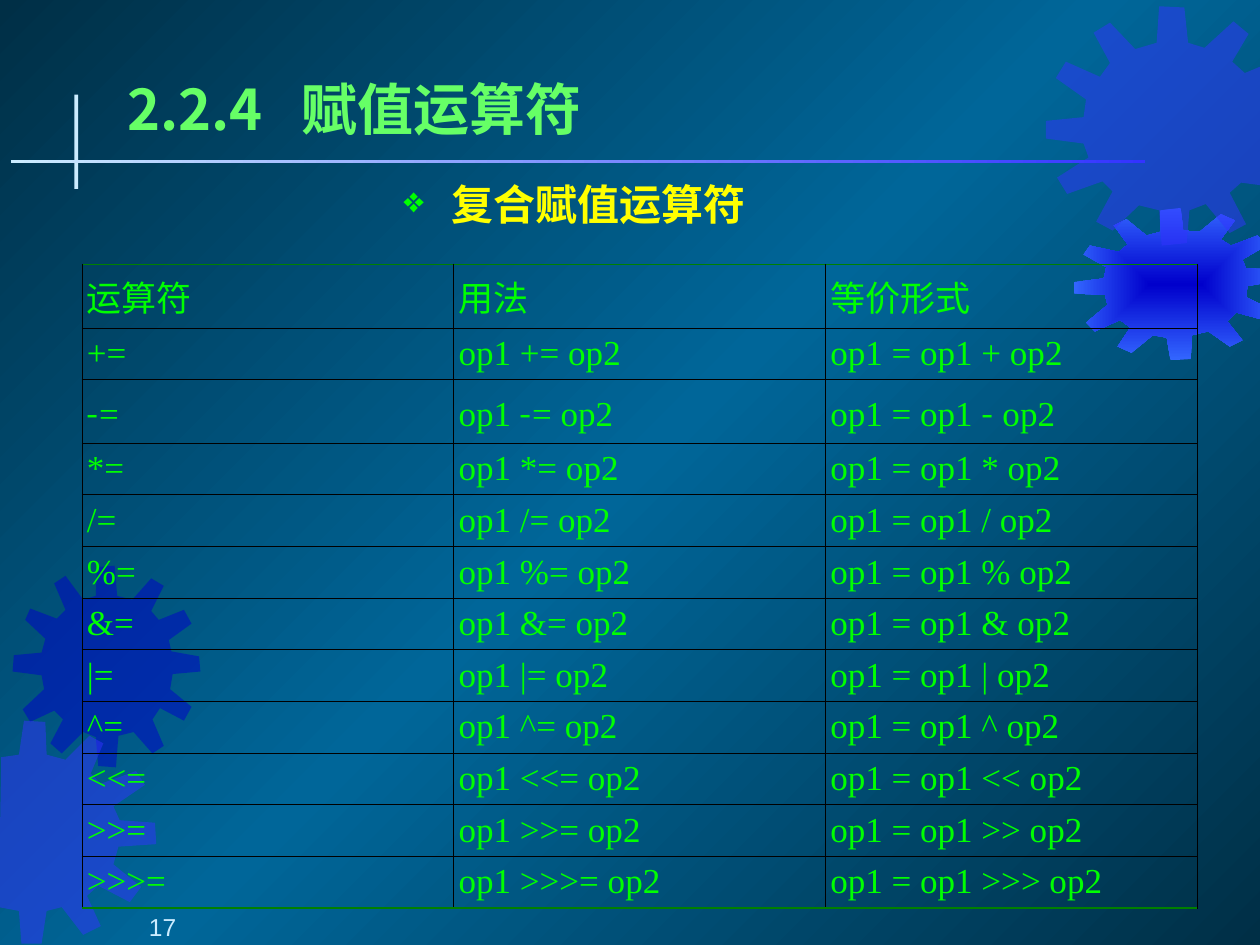
import pptx
import pptx.dml.color
import pptx.enum.shapes
import pptx.enum.text
import pptx.oxml.ns
import pptx.util
from dataclasses import dataclass
from lxml import etree

qn = pptx.oxml.ns.qn
Align = pptx.enum.text.PP_ALIGN
Anchor = pptx.enum.text.MSO_ANCHOR


@dataclass(frozen=True)
class Theme:
    deep: str = "002F46"
    sea: str = "006699"
    navy: str = "0000CC"
    violet: str = "3333FF"
    azure: str = "3366FF"
    ice: str = "CCECFF"
    title: str = "66FF66"
    heading: str = "FFFF00"
    green: str = "00FF00"
    edge: str = "008000"
    black: str = "000000"
    serif: str = "Times New Roman"
    sans: str = "Arial"
    han: str = "Noto Sans CJK SC"
    title_size: int = 32
    heading_size: int = 24
    table_size: int = 20
    number_size: int = 14


def add(parent, tag, **attributes):
    return etree.SubElement(parent, qn(tag), {k: str(v) for k, v in attributes.items()})


class Slide:
    """Holds the theme and the page; lengths are cells of a 100 by 75 grid."""

    COLUMNS, ROWS = 100, 75

    def __init__(self, deck, theme):
        self.theme = theme
        self.cell = deck.slide_width / self.COLUMNS
        self.page = deck.slides.add_slide(deck.slide_layouts[5])

    def span(self, cells):
        return pptx.util.Emu(round(cells * self.cell))

    def gradient(self, owner, element, stops, angle=None):
        """A linear gradient, or a rectangular one when no angle is given."""
        owner.fill.gradient()
        fill = element.find(".//" + qn("a:gradFill"))
        fill.clear()
        stop_list = add(fill, "a:gsLst")
        for place, color in stops:
            add(add(stop_list, "a:gs", pos=place * 1000), "a:srgbClr", val=color)
        if angle is None:
            add(add(fill, "a:path", path="rect"), "a:fillToRect",
                l=50000, t=50000, r=50000, b=50000)
        else:
            add(fill, "a:lin", ang=angle * 60000, scaled=0)

    def background(self, stops, angle):
        self.gradient(self.page.background, self.page.element, stops, angle)

    def finish(self, shape, color=None, stops=None, angle=None, opacity=100):
        shape.shadow.inherit = False
        shape.line.fill.background()
        if stops:
            self.gradient(shape, shape.element, stops, angle)
            return
        shape.fill.solid()
        shape.fill.fore_color.rgb = pptx.dml.color.RGBColor.from_string(color)
        if opacity < 100:
            add(shape.element.spPr.find(".//" + qn("a:srgbClr")), "a:alpha", val=opacity * 1000)

    def gear(self, outline, **look):
        """Outline points are tenths of a grid cell."""
        points = [tuple(map(int, pair.split(","))) for pair in outline.split()]
        builder = self.page.shapes.build_freeform(*points[0], scale=self.cell / 10)
        builder.add_line_segments(points[1:], close=True)
        self.finish(builder.convert_to_shape(), **look)

    def bar(self, left, top, width, height, **look):
        kind = pptx.enum.shapes.MSO_SHAPE.RECTANGLE
        self.finish(self.page.shapes.add_shape(
            kind, *map(self.span, (left, top, width, height))), **look)

    def font(self, paragraph, size, color, name, bold=False):
        font = paragraph.font
        font.size, font.bold, font.name = pptx.util.Pt(size), bold, name
        font.color.rgb = pptx.dml.color.RGBColor.from_string(color)
        add(paragraph._p.pPr.find(qn("a:defRPr")), "a:ea", typeface=self.theme.han)

    def frame(self, box, text, align, anchor, insets):
        frame = box.text_frame
        frame.word_wrap = True
        frame.auto_size = pptx.enum.text.MSO_AUTO_SIZE.NONE
        frame.vertical_anchor = anchor
        (frame.margin_left, frame.margin_top,
         frame.margin_right, frame.margin_bottom) = map(self.span, insets)
        paragraph = frame.paragraphs[0]
        paragraph.text, paragraph.alignment = text, align
        return paragraph

    def title(self, text, left, top, width, height, tab):
        box = self.page.shapes.title
        box.left, box.top, box.width, box.height = map(self.span, (left, top, width, height))
        paragraph = self.frame(box, text, Align.LEFT, Anchor.MIDDLE, (1.4, 0.5, 0.4, 0.5))
        tabs = add(paragraph._p.get_or_add_pPr(), "a:tabLst")
        add(tabs, "a:tab", pos=self.span(tab), algn="l")
        self.font(paragraph, self.theme.title_size, self.theme.title, self.theme.han, True)

    def text(self, text, left, top, width, height, size, color, name,
             insets, anchor=Anchor.TOP, bold=False, bullet=None):
        box = self.page.shapes.add_textbox(*map(self.span, (left, top, width, height)))
        paragraph = self.frame(box, text, Align.CENTER, anchor, insets)
        if bullet:
            properties = paragraph._p.get_or_add_pPr()
            properties.set("marL", str(self.span(3.8)))
            properties.set("indent", str(-self.span(3.8)))
            add(add(properties, "a:buClr"), "a:srgbClr", val=self.theme.green)
            add(properties, "a:buSzPct", val=85000)
            add(properties, "a:buChar", char=bullet)
        self.font(paragraph, size, color, name, bold)

    def borders(self, cell, first, last):
        sides = {"L": False, "R": False, "T": first, "B": last}
        for index, (side, strong) in enumerate(sides.items()):
            width = pptx.util.Pt(0.96 if strong else 0.45)
            line = etree.Element(qn("a:ln" + side), {"w": str(width)})
            color = self.theme.edge if strong else self.theme.black
            add(add(line, "a:solidFill"), "a:srgbClr", val=color)
            cell._tc.get_or_add_tcPr().insert(index, line)

    def table(self, rows, left, top, width, row_height):
        count = len(rows)
        table = self.page.shapes.add_table(
            count, len(rows[0]), *map(self.span, (left, top, width, row_height * count))).table
        table.first_row = table.horz_banding = False
        for row_index, row in enumerate(rows):
            table.rows[row_index].height = self.span(row_height)
            for column, text in enumerate(row):
                cell = table.cell(row_index, column)
                cell.margin_left = cell.margin_right = self.span(0.4)
                cell.margin_top = cell.margin_bottom = self.span(0.5)
                cell.fill.background()
                self.borders(cell, row_index == 0, row_index == count - 1)
                paragraph = cell.text_frame.paragraphs[0]
                before, minus, after = text.partition("-")
                for part in filter(None, (before, minus, after)):
                    run = paragraph.add_run()
                    run.text = part
                    if minus:
                        run.font.name = self.theme.han if part == "-" else self.theme.serif
                self.font(paragraph, self.theme.table_size, self.theme.green, self.theme.serif)


# Gear outlines
LEFT_UPPER = """105,476 93,473 91,449 77,450 76,473 66,476 52,457 43,463 52,484 45,491 24,483
 20,492 36,507 33,518 11,520 10,533 33,536 35,547 18,563 24,573 43,564 50,571 40,590 49,598
 66,581 76,585 78,608 92,609 94,584 106,581 121,598 130,592 121,571 127,562 146,572 152,561
 135,547 137,535 159,533 158,521 136,517 134,508 152,495 146,484 126,492 120,485 130,465 120,459"""
LEFT_LOWER = """90,686 94,672 124,670 123,653 95,651 90,640 115,623 108,612 80,622 72,614 82,590
 71,584 52,603 37,599 36,573 19,572 15,599 1,601 -1,720 15,723 17,749 33,749 37,723 49,720
 66,742 80,735 69,711 78,703 103,716 112,704"""
RIGHT_LOWER = """952,184 939,183 937,165 921,167 921,184 910,187 894,174 884,179 895,194 888,200
 865,195 860,202 878,212 876,221 852,224 852,233 877,234 879,242 862,256 869,263 889,254 897,260
 887,275 898,280 915,266 926,268 929,286 945,285 946,266 959,263 976,275 986,270 974,255 981,248
 1003,254 1008,245 989,236 990,227 1014,223 1013,214 989,213 986,206 1005,195 998,187 977,195
 969,190 980,175 969,170"""
RIGHT_UPPER = """904,163 920,167 922,195 942,193 944,167 957,162 976,185 989,178 976,153 985,145
 1000,147 1000,53 988,58 978,49 991,27 979,17 956,38 943,34 940,6 920,5 918,34 901,39 881,18
 868,26 881,50 873,61 846,49 838,62 862,79 860,93 830,96 830,110 860,114 864,125 839,141 847,154
 875,144 883,152 870,176 883,183"""

OPERATORS = ["+", "-", "*", "/", "%", "&", "|", "^", "<<", ">>", ">>>"]


def main():
    deck = pptx.Presentation()
    deck.slide_width, deck.slide_height = pptx.util.Inches(10), pptx.util.Inches(7.5)
    theme = Theme()
    slide = Slide(deck, theme)

    # Backdrop and gears
    slide.background([(0, theme.deep), (50, theme.sea), (100, theme.deep)], 225)
    slide.gear(LEFT_UPPER, color=theme.navy, opacity=50)
    slide.gear(LEFT_LOWER, color=theme.violet, opacity=50)
    slide.gear(RIGHT_LOWER, stops=[(0, theme.navy), (100, theme.azure)])
    slide.gear(RIGHT_UPPER, color=theme.violet, opacity=50)

    # Crossed rules beside the title
    slide.bar(5.9, 7.5, 0.3, 7.5, color=theme.ice)
    slide.bar(0.9, 12.7, 90, 0.2, stops=[(0, theme.violet), (100, theme.ice)], angle=180)

    # Title and heading
    slide.title("2.2.4\t赋值运算符", 8.7, 5.4, 88.4, 6.3, tab=13.8)
    slide.text("复合赋值运算符", 20.5, 13.8, 50.2, 4.8, theme.heading_size, theme.heading,
               theme.serif, (0.4, 0.4, 0.4, 0.4), bold=True, bullet="❖")

    # Operator table
    rows = [("运算符", "用法", "等价形式")]
    rows += [(f"{sign}=", f"op1 {sign}= op2", f"op1 = op1 {sign} op2") for sign in OPERATORS]
    slide.table(rows, 6.5, 21, 88.5, 4.1)

    # Page number
    slide.text("17", 0, 70.5, 20.8, 4.2, theme.number_size, theme.ice, theme.sans,
               (6, 0, 1, 0), anchor=Anchor.BOTTOM)

    deck.save("out.pptx")


if __name__ == "__main__":
    main()
